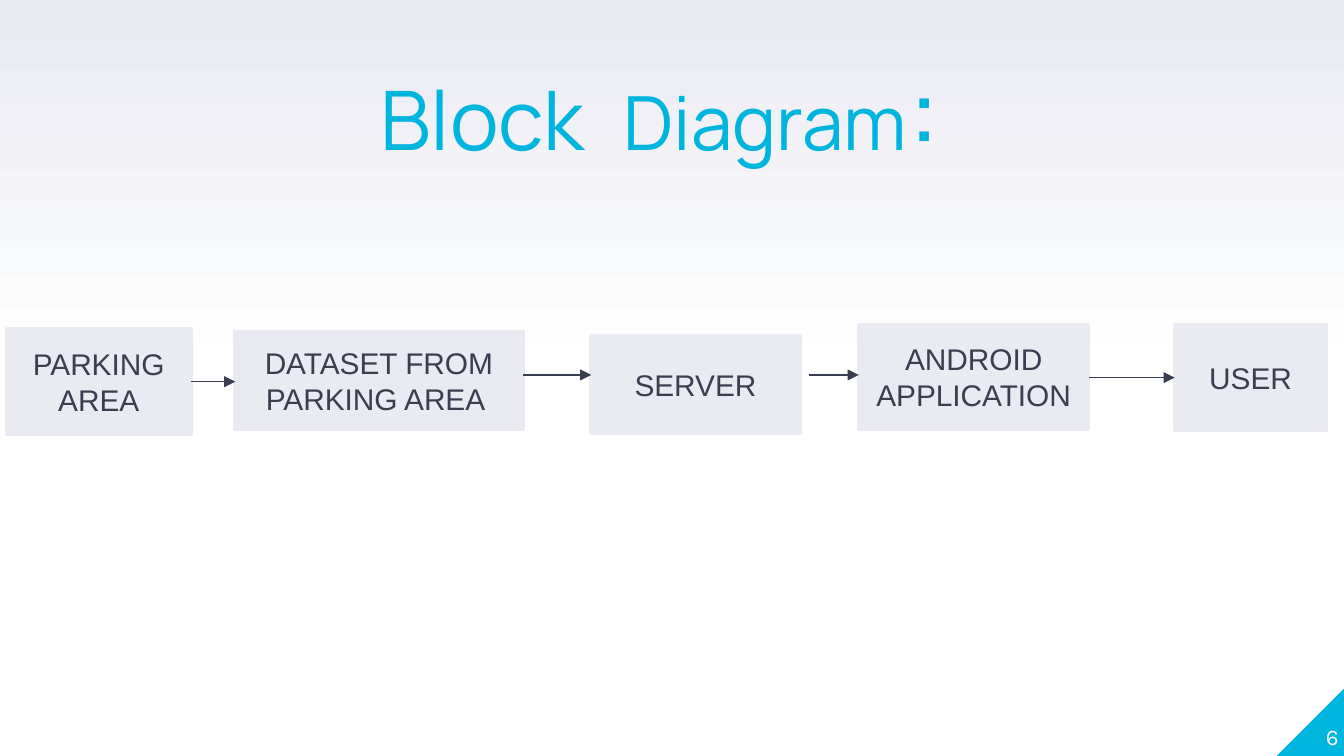
from copy import deepcopy

from lxml import etree
from pptx import Presentation
from pptx.dml.color import RGBColor
from pptx.enum import shapes, text
from pptx.oxml.ns import qn
from pptx.util import Inches, Pt

THEME = {
    "accent": "00B5DD", "panel": "E9EAF2", "ink": "3A3F50",
    "arrow": "383D4F", "white": "FFFFFF",
    "title_font": "Manrope", "body_font": "Arial", "number_font": "Karla",
    "body_size": 16, "number_size": 12,
    "box_line": 2, "arrow_line": 0.75,
}
PAGE_WIDTH = 10
PAGE_HEIGHT = PAGE_WIDTH * 9 / 16
BACKGROUND_STOPS = [(0, "white"), (0.5, "white"), (1, "panel")]
TITLE = [("Block ", 44), (" ", 60), ("Diagram", 40), (":", 60)]
PAGE_NUMBER = "6"
BLOCKS = [
    ("PARKING AREA", 0.05, 2.45, 1.37, 0.78),
    ("DATASET FROM PARKING AREA ", 1.75, 2.47, 2.14, 0.72),
    ("SERVER", 4.4, 2.5, 1.55, 0.72),
    ("ANDROID APPLICATION", 6.39, 2.42, 1.71, 0.77),
    ("USER", 8.74, 2.42, 1.13, 0.78),
]
ARROWS = [(0, 2.84), (0, 2.79), (0.07, 2.79), (0, 2.81)]


def color(name):
    return RGBColor.from_string(THEME[name])


def paint_background(page):
    fill = page.background.fill
    fill.gradient()
    fill.gradient_angle = 90
    stop_list = page.element.find(".//" + qn("a:gsLst"))
    stop_list.insert(1, deepcopy(stop_list[0]))
    for stop, (position, name) in zip(fill.gradient_stops, BACKGROUND_STOPS):
        stop.position = position
        stop.color.rgb = color(name)


def write(shape, spans, font, ink, align, anchor):
    frame = shape.text_frame
    frame.word_wrap = True
    frame.vertical_anchor = anchor
    para = frame.paragraphs[0]
    para.alignment = align
    for words, size in spans:
        span = para.add_run()
        span.text = words
        span.font.name = THEME[font]
        span.font.size = Pt(size)
        span.font.color.rgb = color(ink)
    return para


def add_label(page, bounds, spans, font, ink, align):
    label = page.shapes.add_textbox(*map(Inches, bounds))
    frame = label.text_frame
    frame.margin_left = frame.margin_right = 0
    frame.margin_top = frame.margin_bottom = 0
    return write(label, spans, font, ink, align, text.MSO_ANCHOR.BOTTOM)


def add_corner(page, size):
    corner = page.shapes.add_shape(
        shapes.MSO_SHAPE.RIGHT_TRIANGLE,
        Inches(PAGE_WIDTH - size), Inches(PAGE_HEIGHT - size),
        Inches(size), Inches(size))
    corner.shadow.inherit = False
    corner.fill.solid()
    corner.fill.fore_color.rgb = color("accent")
    corner.line.fill.background()
    corner.element.spPr.find(qn("a:xfrm")).set("flipH", "1")


def add_block(page, words, *bounds):
    box = page.shapes.add_shape(shapes.MSO_SHAPE.RECTANGLE, *map(Inches, bounds))
    box.shadow.inherit = False
    box.fill.solid()
    box.fill.fore_color.rgb = color("panel")
    box.line.color.rgb = color("panel")
    box.line.width = Pt(THEME["box_line"])
    write(box, [(words, THEME["body_size"])], "body_font", "ink",
          text.PP_ALIGN.CENTER, text.MSO_ANCHOR.MIDDLE)


def add_arrow(page, start, end, height):
    arrow = page.shapes.add_connector(
        shapes.MSO_CONNECTOR.STRAIGHT,
        Inches(start), Inches(height), Inches(end), Inches(height))
    arrow.line.color.rgb = color("arrow")
    arrow.line.width = Pt(THEME["arrow_line"])
    properties = arrow.element.spPr
    etree.SubElement(properties.find(qn("a:ln")), qn("a:tailEnd"), type="triangle")
    etree.SubElement(properties, qn("a:effectLst"))


def main():
    deck = Presentation()
    deck.slide_width, deck.slide_height = Inches(PAGE_WIDTH), Inches(PAGE_HEIGHT)
    page = deck.slides.add_slide(deck.slide_layouts[6])
    paint_background(page)
    add_corner(page, 0.5)
    title = add_label(page, (2.38, 0.48, 5.07, 0.8), TITLE,
                      "title_font", "accent", text.PP_ALIGN.CENTER)
    title.line_spacing = 0.8
    add_label(page, (9.46, 5.07, 0.5, 0.51), [(PAGE_NUMBER, THEME["number_size"])],
              "number_font", "white", text.PP_ALIGN.RIGHT)
    for block in BLOCKS:
        add_block(page, *block)
    for source, target, (gap, height) in zip(BLOCKS, BLOCKS[1:], ARROWS):
        add_arrow(page, source[1] + source[3] + gap, target[1], height)
    deck.save("out.pptx")


if __name__ == "__main__":
    main()
